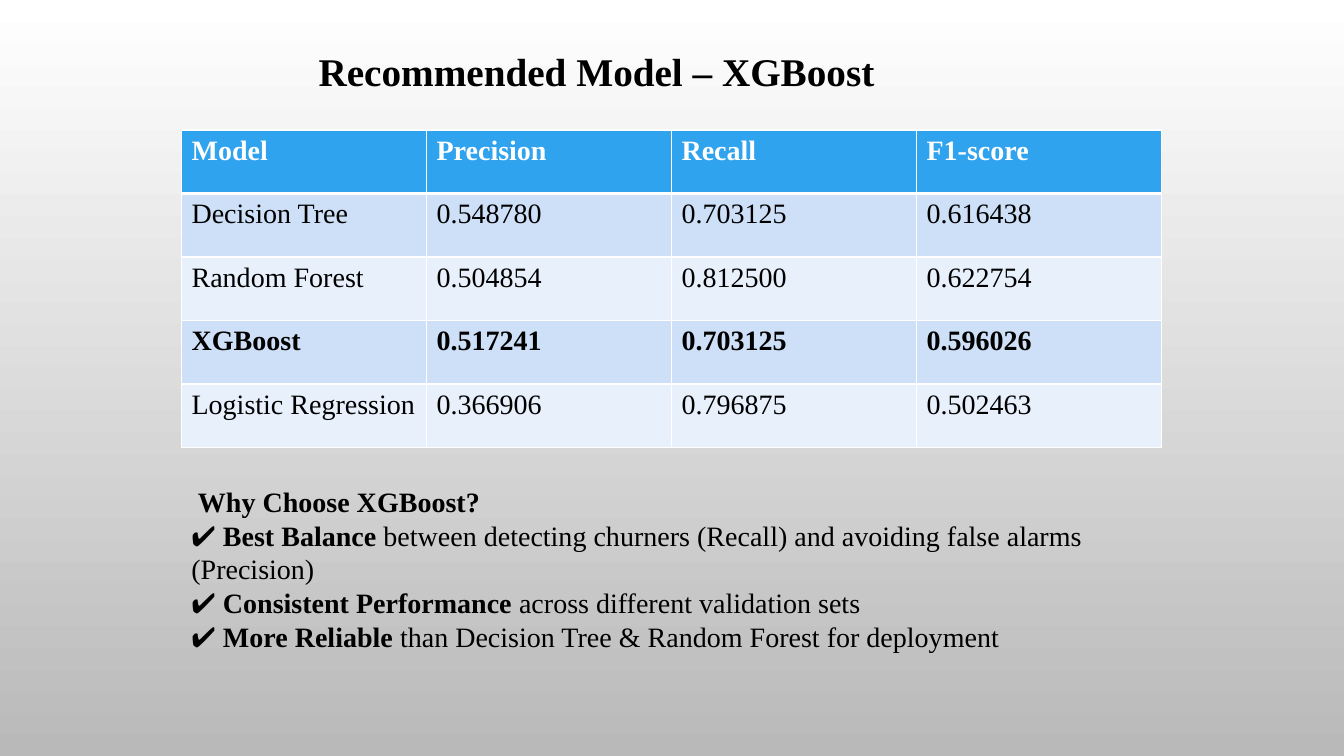
from dataclasses import dataclass

from lxml import etree
from pptx import Presentation
from pptx.dml.color import RGBColor
from pptx.enum.text import MSO_ANCHOR, MSO_AUTO_SIZE, PP_ALIGN
from pptx.oxml.ns import qn
from pptx.util import Emu, Pt

TOP = MSO_ANCHOR.TOP
LEFT = PP_ALIGN.LEFT
NO_AUTOFIT = MSO_AUTO_SIZE.NONE
EMU_PER_PX = 9144
TITLE_ONLY = 5


@dataclass(frozen=True)
class Theme:
    font: str = "Times New Roman"
    title_size: int = 28
    body_size: int = 20
    ink: str = "000000"
    white: str = "FFFFFF"
    backdrop_end: str = "B9B9B9"
    header_fill: str = "2FA3EE"
    band_fills: tuple[str, str] = ("CDE0F8", "E8F0FC")
    thin_line: int = 1
    thick_line: int = 3


@dataclass(frozen=True)
class Box:
    left: int
    top: int
    width: int
    height: int

    def emu(self) -> tuple[Emu, Emu, Emu, Emu]:
        return px(self.left), px(self.top), px(self.width), px(self.height)


@dataclass(frozen=True)
class Score:
    model: str
    precision: str
    recall: str
    f1: str
    chosen: bool = False


@dataclass(frozen=True)
class Reason:
    claim: str
    detail: str


THEME = Theme()
TITLE_BOX = Box(306, 42, 666, 57)
TABLE_BOX = Box(180, 129, 972, 315)
REASONS_BOX = Box(180, 476, 910, 178)
HEADINGS = ("Model", "Precision", "Recall", "F1-score")
SCORES = (
    Score("Decision Tree", "0.548780", "0.703125", "0.616438"),
    Score("Random Forest", "0.504854", "0.812500", "0.622754"),
    Score("XGBoost", "0.517241", "0.703125", "0.596026", chosen=True),
    Score("Logistic Regression", "0.366906", "0.796875", "0.502463"),
)
REASONS = (
    Reason("Best Balance", "between detecting churners (Recall) and avoiding false alarms (Precision)"),
    Reason("Consistent Performance", "across different validation sets"),
    Reason("More Reliable", "than Decision Tree & Random Forest for deployment"),
)


def px(length: int) -> Emu:
    return Emu(length * EMU_PER_PX)


def write(para, text: str, *, size: int = THEME.body_size,
          color: str = THEME.ink, bold: bool = False) -> None:
    span = para.add_run()
    span.text = text
    span.font.name = THEME.font
    span.font.size = Pt(size)
    span.font.bold = bold
    span.font.color.rgb = RGBColor.from_string(color)


def paint_background(page) -> None:
    fill = page.background.fill
    fill.gradient()
    fill.gradient_angle = 270
    for stop, color in zip(fill.gradient_stops, (THEME.white, THEME.backdrop_end)):
        stop.color.rgb = RGBColor.from_string(color)


def draw_title(page) -> None:
    title = page.shapes.title
    title.left, title.top, title.width, title.height = TITLE_BOX.emu()
    frame = title.text_frame
    frame.word_wrap = True
    frame.auto_size = NO_AUTOFIT
    frame.vertical_anchor = TOP
    para = frame.paragraphs[0]
    para.alignment = LEFT
    para.line_spacing = 1.0
    para.space_before = Pt(0)
    write(para, "Recommended Model – XGBoost", size=THEME.title_size, bold=True)


def add_border(cell, side: str, width: int) -> None:
    line = etree.SubElement(cell._tc.get_or_add_tcPr(), qn(f"a:ln{side}"), w=str(Pt(width)))
    fill = etree.SubElement(line, qn("a:solidFill"))
    etree.SubElement(fill, qn("a:srgbClr"), val=THEME.white)


def draw_cell(cell, text: str, *, fill: str, color: str, bold: bool,
              borders: dict[str, int]) -> None:
    for side, width in borders.items():
        add_border(cell, side, width)
    cell.fill.solid()
    cell.fill.fore_color.rgb = RGBColor.from_string(fill)
    write(cell.text_frame.paragraphs[0], text, color=color, bold=bold)


def draw_scores(page) -> None:
    table = page.shapes.add_table(len(SCORES) + 1, len(HEADINGS), *TABLE_BOX.emu()).table
    thin = THEME.thin_line
    for column, heading in enumerate(HEADINGS):
        draw_cell(table.cell(0, column), heading, fill=THEME.header_fill,
                  color=THEME.white, bold=True,
                  borders={"L": thin, "R": thin, "T": thin, "B": THEME.thick_line})
    for row, score in enumerate(SCORES):
        values = (score.model, score.precision, score.recall, score.f1)
        for column, value in enumerate(values):
            draw_cell(table.cell(row + 1, column), value, fill=THEME.band_fills[row % 2],
                      color=THEME.ink, bold=score.chosen,
                      borders={"L": thin, "R": thin, "B": thin})


def draw_reasons(page) -> None:
    frame = page.shapes.add_textbox(*REASONS_BOX.emu()).text_frame
    frame.word_wrap = True
    write(frame.paragraphs[0], " Why Choose XGBoost?", bold=True)
    for reason in REASONS:
        para = frame.add_paragraph()
        write(para, "✔ ")
        write(para, reason.claim, bold=True)
        write(para, f" {reason.detail}")


def main() -> None:
    deck = Presentation()
    deck.slide_width, deck.slide_height = px(1333), px(750)
    page = deck.slides.add_slide(deck.slide_layouts[TITLE_ONLY])
    paint_background(page)
    draw_title(page)
    draw_scores(page)
    draw_reasons(page)
    deck.save("out.pptx")


if __name__ == "__main__":
    main()
